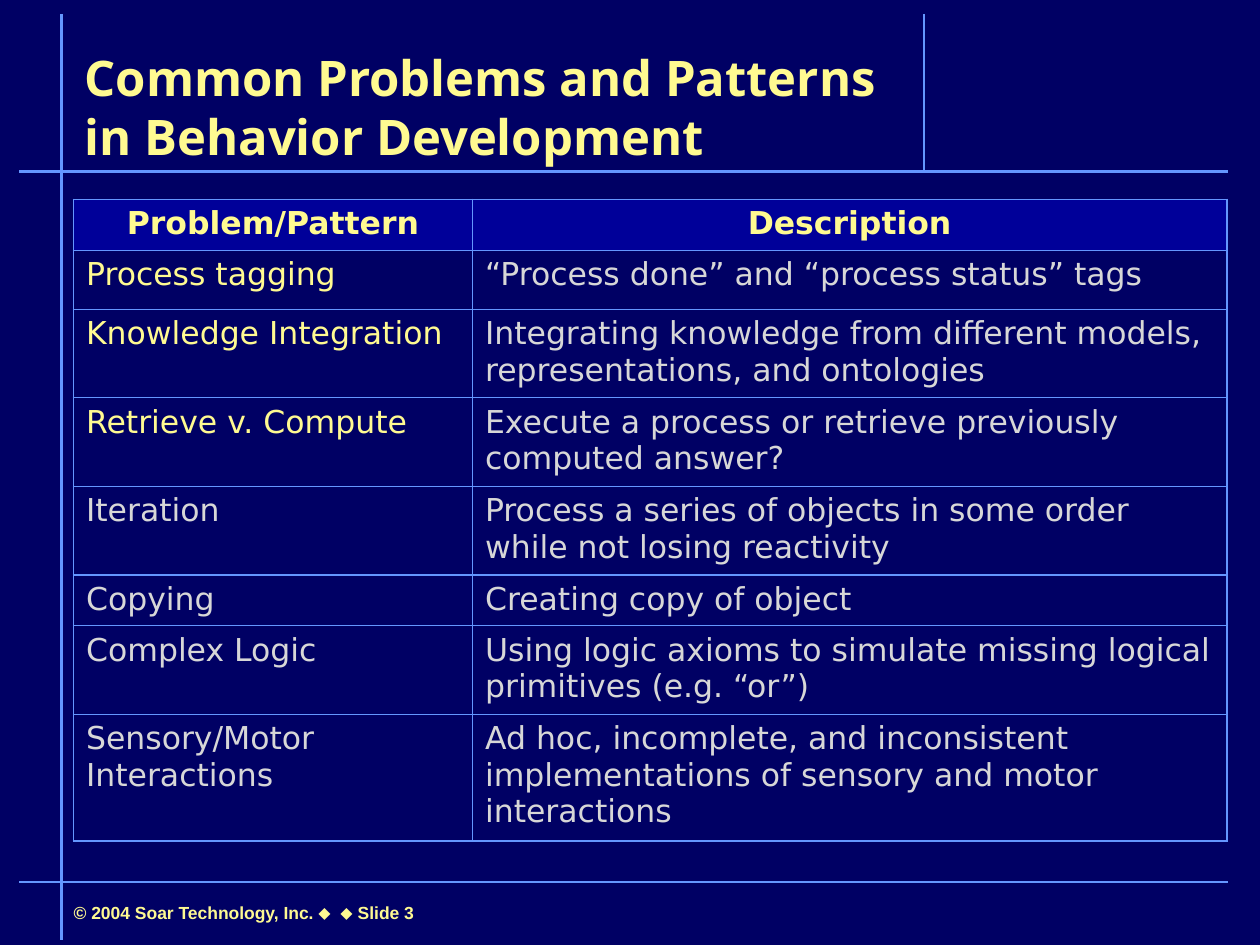
"""Build the slide on common problems and patterns in behavior development."""
from lxml import etree
from pptx import Presentation
from pptx.dml.color import RGBColor
from pptx.enum import shapes, text
from pptx.oxml import ns
from pptx.util import Pt

COLORS = {"background": "000064", "header": "000099", "line": "6496FF",
          "yellow": "FFFA91", "footer": "FEF992", "gray": "D7D7D7"}
TITLE = "Common Problems and Patterns in Behavior Development"
FOOTER = "© 2004 Soar Technology, Inc. ⬥  ⬥ Slide 3"
HEADERS = ("Problem/Pattern", "Description")
PATTERNS = [
    ("Process tagging", "“Process done” and “process status” tags"),
    ("Knowledge Integration",
     "Integrating knowledge from different models, representations, and ontologies"),
    ("Retrieve v. Compute", "Execute a process or retrieve previously computed answer?"),
    ("Iteration", "Process a series of objects in some order while not losing reactivity"),
    ("Copying", "Creating copy of object"),
    ("Complex Logic", "Using logic axioms to simulate missing logical primitives (e.g. “or”)"),
    ("Sensory/Motor Interactions",
     "Ad hoc, incomplete, and inconsistent implementations of sensory and motor interactions"),
]
HIGHLIGHTED_ROWS = 3
COLUMN_WIDTHS = (228, 431)
ROW_HEIGHTS = (29, 33.75, 50.6, 50.6, 50.6, 29, 50.6, 72.3)
LEFT, RIGHT, TOP, BOTTOM = 11, 701.5, 8, 537
RAIL, DIVIDER, TITLE_RULE, FOOTER_RULE = 35, 528, 98, 504
GUIDES = [
    (RAIL, TOP, RAIL, BOTTOM),
    (RIGHT, TITLE_RULE, LEFT, TITLE_RULE),
    (RIGHT, FOOTER_RULE, LEFT, FOOTER_RULE),
    (DIVIDER, TOP, DIVIDER, TITLE_RULE),
]


def color(name):
    return RGBColor.from_string(COLORS[name])


def write(frame, words, font, size, color_name, bold=False, align=text.PP_ALIGN.LEFT):
    frame.word_wrap = True
    paragraph = frame.paragraphs[0]
    paragraph.alignment = align
    paragraph.space_before = Pt(0)
    run = paragraph.add_run()
    run.text = words
    run.font.name = font
    run.font.size = Pt(size)
    run.font.bold = bold
    run.font.color.rgb = color(color_name)


def add_guide(slide, ends):
    guide = slide.shapes.add_connector(shapes.MSO_CONNECTOR.STRAIGHT, *map(Pt, ends))
    guide.line.color.rgb = color("line")
    guide.line.width = Pt(1.5)
    etree.SubElement(guide._element.spPr, ns.qn("a:effectLst"))


def set_borders(cell, outer_sides):
    properties = cell._tc.get_or_add_tcPr()
    for index, side in enumerate(("L", "R", "T", "B")):
        width = Pt(1.08 if side in outer_sides else 0.75)
        border = etree.Element(ns.qn(f"a:ln{side}"), w=str(width))
        fill = etree.SubElement(border, ns.qn("a:solidFill"))
        etree.SubElement(fill, ns.qn("a:srgbClr"), val=COLORS["line"])
        properties.insert(index, border)


def add_pattern_table(slide):
    rows = [HEADERS] + PATTERNS
    table = slide.shapes.add_table(
        len(rows), len(HEADERS), Pt(42), Pt(114),
        Pt(sum(COLUMN_WIDTHS)), Pt(sum(ROW_HEIGHTS))).table
    for column, width in zip(table.columns, COLUMN_WIDTHS):
        column.width = Pt(width)
    for row, height in zip(table.rows, ROW_HEIGHTS):
        row.height = Pt(height)
    for r, row in enumerate(rows):
        for c, words in enumerate(row):
            cell = table.cell(r, c)
            header = r == 0
            if header:
                cell.fill.solid()
                cell.fill.fore_color.rgb = color("header")
            else:
                cell.fill.background()
            yellow = header or (c == 0 and r <= HIGHLIGHTED_ROWS)
            write(cell.text_frame, words, "DejaVu Sans", 18,
                  "yellow" if yellow else "gray", header,
                  text.PP_ALIGN.CENTER if header else text.PP_ALIGN.LEFT)
            outer = "L" if c == 0 else "R"
            outer += "T" if header else "B" if r == len(rows) - 1 else ""
            set_borders(cell, outer)


def main():
    presentation = Presentation()
    presentation.slide_width, presentation.slide_height = Pt(720), Pt(540)
    slide = presentation.slides.add_slide(presentation.slide_layouts[5])
    slide.background.fill.solid()
    slide.background.fill.fore_color.rgb = color("background")

    title = slide.shapes.title
    title.left, title.top, title.width, title.height = Pt(41.25), Pt(8), Pt(486), Pt(90)
    title.text_frame.vertical_anchor = text.MSO_ANCHOR.BOTTOM
    title.text_frame.auto_size = text.MSO_AUTO_SIZE.NONE
    write(title.text_frame, TITLE, "Open Sans", 28, "yellow", True)

    footer = slide.shapes.add_textbox(Pt(35), Pt(512), Pt(558), Pt(19.5))
    footer.text_frame.auto_size = text.MSO_AUTO_SIZE.SHAPE_TO_FIT_TEXT
    write(footer.text_frame, FOOTER, "Arial", 10, "footer", True)

    for ends in GUIDES:
        add_guide(slide, ends)
    add_pattern_table(slide)
    presentation.save("out.pptx")


if __name__ == "__main__":
    main()
